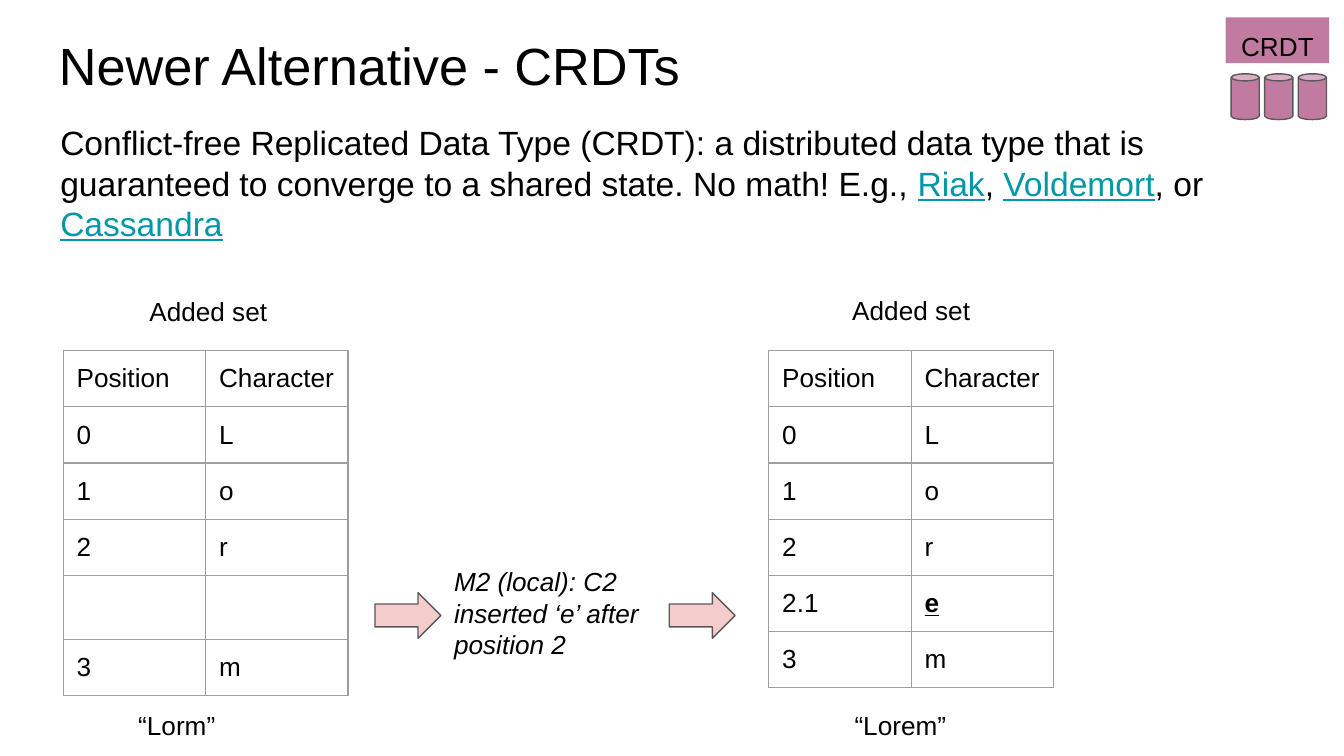
from dataclasses import dataclass

from lxml.etree import SubElement
from pptx import Presentation
from pptx.dml.color import RGBColor
from pptx.enum.shapes import MSO_SHAPE
from pptx.enum.text import MSO_ANCHOR, PP_ALIGN
from pptx.oxml.ns import qn
from pptx.util import Inches, Pt


@dataclass(frozen=True)
class Theme:
    font: str = "Arial"
    ink: str = "000000"
    link: str = "0097A7"
    replica: str = "C27BA0"
    arrow: str = "F4CCCC"
    outline: str = "595959"
    border: str = "9E9E9E"
    title_size: int = 28
    body_size: int = 18
    label_size: int = 14
    line_width: float = 0.75
    inset: float = 1
    cell_bottom: float = 0.8


class SlideBuilder:
    """Places styled elements on a square grid of 100 columns across the slide."""

    def __init__(self, presentation, theme):
        self.theme = theme
        self.unit = presentation.slide_width / 100
        self.slide = presentation.slides.add_slide(presentation.slide_layouts[6])

    def grid(self, *lengths):
        return [round(length * self.unit) for length in lengths]

    def style_run(self, run, size, color=None, bold=False, italic=False, underline=False):
        font = run.font
        font.name = self.theme.font
        font.size = Pt(size)
        font.color.rgb = RGBColor.from_string(color or self.theme.ink)
        font.bold, font.italic, font.underline = bold, italic, underline

    def set_insets(self, owner, bottom):
        inset, owner.margin_bottom = self.grid(self.theme.inset, bottom)
        owner.margin_left = owner.margin_right = owner.margin_top = inset

    def fill_frame(self, frame, text, size, align, italic=False, links=()):
        frame.word_wrap = True
        frame.vertical_anchor = MSO_ANCHOR.TOP
        self.set_insets(frame, self.theme.inset)
        paragraph = frame.paragraphs[0]
        paragraph.alignment = align
        paragraph.line_spacing = 1.0
        for part in [text] if isinstance(text, str) else text:
            run = paragraph.add_run()
            run.text = part
            linked = part in links
            color = self.theme.link if linked else self.theme.ink
            self.style_run(run, size, color, italic=italic, underline=linked)

    def text(self, box, text, size=None, align=PP_ALIGN.LEFT, **options):
        shape = self.slide.shapes.add_textbox(*self.grid(*box))
        self.fill_frame(shape.text_frame, text, size or self.theme.label_size, align, **options)

    def shape(self, kind, box, fill, outlined=True, label=None):
        shape = self.slide.shapes.add_shape(kind, *self.grid(*box))
        shape.shadow.inherit = False
        shape.fill.solid()
        shape.fill.fore_color.rgb = RGBColor.from_string(fill)
        if outlined:
            shape.line.color.rgb = RGBColor.from_string(self.theme.outline)
            shape.line.width = Pt(self.theme.line_width)
        else:
            shape.line.fill.background()
        if label:
            self.fill_frame(shape.text_frame, label, self.theme.label_size, PP_ALIGN.CENTER)

    def border_cell(self, cell):
        properties = cell._tc.get_or_add_tcPr()
        width = str(Pt(self.theme.line_width))
        for index, side in enumerate(("a:lnL", "a:lnR", "a:lnT", "a:lnB")):
            line = properties.makeelement(qn(side), {"w": width})
            fill = SubElement(line, qn("a:solidFill"))
            SubElement(fill, qn("a:srgbClr"), val=self.theme.border)
            properties.insert(index, line)

    def table(self, left, top, column_width, row_heights, rows, emphasized=None):
        box = self.grid(left, top, column_width * len(rows[0]), sum(row_heights))
        table = self.slide.shapes.add_table(len(rows), len(rows[0]), *box).table
        table.first_row = table.horz_banding = False
        for column in table.columns:
            column.width = self.grid(column_width)[0]
        for row, height, values in zip(table.rows, row_heights, rows):
            row.height = self.grid(height)[0]
            for cell, value in zip(row.cells, values):
                cell.fill.background()
                self.border_cell(cell)
                if value:
                    self.set_insets(cell, self.theme.cell_bottom)
                    cell.text_frame.text = value
                    strong = value == emphasized
                    run = cell.text_frame.paragraphs[0].runs[0]
                    self.style_run(run, self.theme.label_size, bold=strong, underline=strong)


def main():
    theme = Theme()
    presentation = Presentation()
    presentation.slide_width = Inches(10)
    presentation.slide_height = presentation.slide_width * 9 // 16
    builder = SlideBuilder(presentation, theme)

    builder.text((3.4, 1.5, 93.2, 6.3), "Newer Alternative - CRDTs", theme.title_size)
    databases = ("Riak", "Voldemort", "Cassandra")
    definition = (
        "Conflict-free Replicated Data Type (CRDT): a distributed data type that is "
        "guaranteed to converge to a shared state. No math! E.g., "
    )
    sentence = (definition, databases[0], ", ", databases[1], ", or ", databases[2])
    builder.text((3.5, 8.1, 93.2, 12.1), sentence, theme.body_size, links=databases)

    start = [("Position", "Character"), ("0", "L"), ("1", "o"), ("2", "r")]
    end = ("3", "m")
    row = 4.18
    states = (
        (4.7, (4.9, 21), (9.3, "“Lorm”"), ("", ""), 4.76),
        (57.2, (57.2, 20.9), (62.6, "“Lorem”"), ("2.1", "e"), row),
    )
    for left, heading, (word_left, word), inserted, inserted_height in states:
        builder.text((*heading, 21.2, 4.3), "Added set", align=PP_ALIGN.CENTER)
        heights = [row] * len(start) + [inserted_height, row]
        builder.table(left, 26.1, 10.6, heights, [*start, inserted, end], emphasized="e")
        builder.text((word_left, 51.8, 10.2, 4.3), word)

    builder.text((32.8, 41.1, 18.2, 9.3), "M2 (local): C2 inserted ‘e’ after position 2", italic=True)
    for left in (27.9, 49.8):
        builder.shape(MSO_SHAPE.RIGHT_ARROW, (left, 44.1, 4.9, 3.4), theme.arrow)

    builder.shape(MSO_SHAPE.RECTANGLE, (91.2, 1.3, 7.7, 3.4), theme.replica, False, "CRDT")
    for index in range(3):
        builder.shape(MSO_SHAPE.CAN, (91.6 + 2.5 * index, 5.5, 2.1, 3.4), theme.replica)

    presentation.save("out.pptx")


if __name__ == "__main__":
    main()
